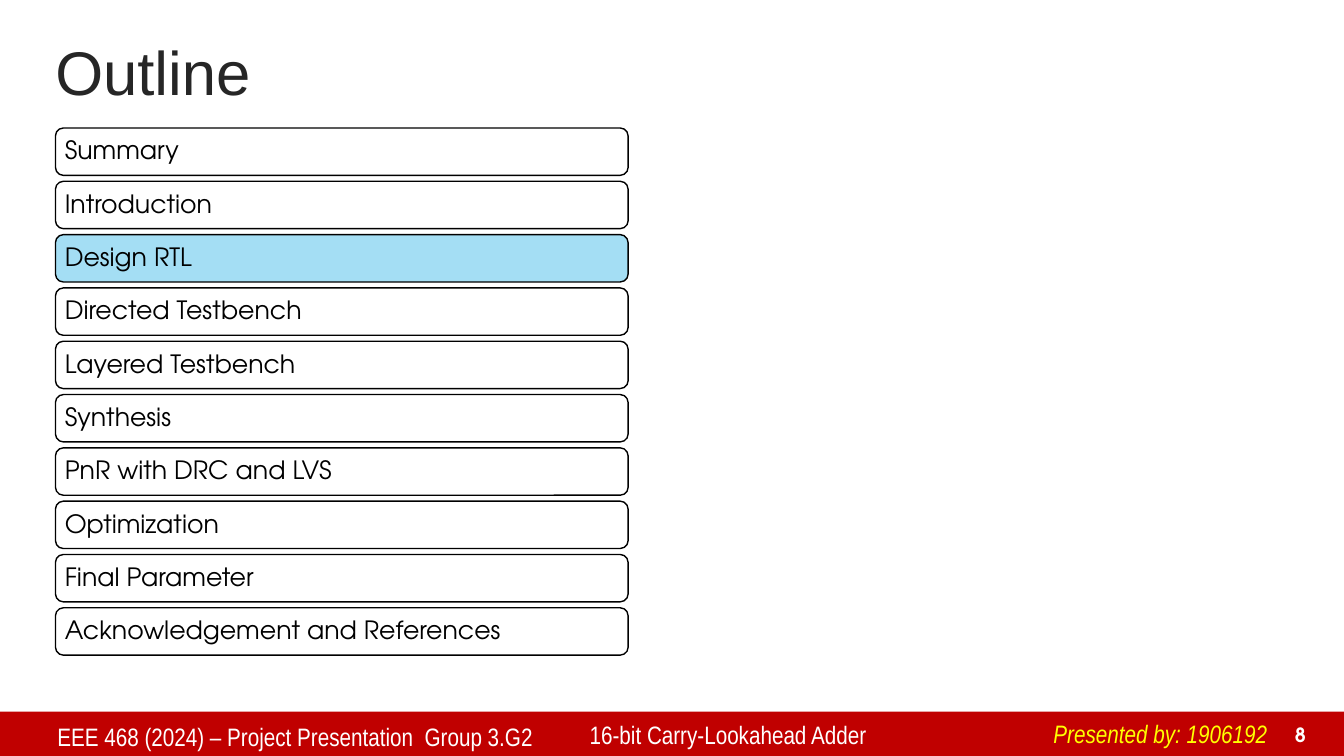
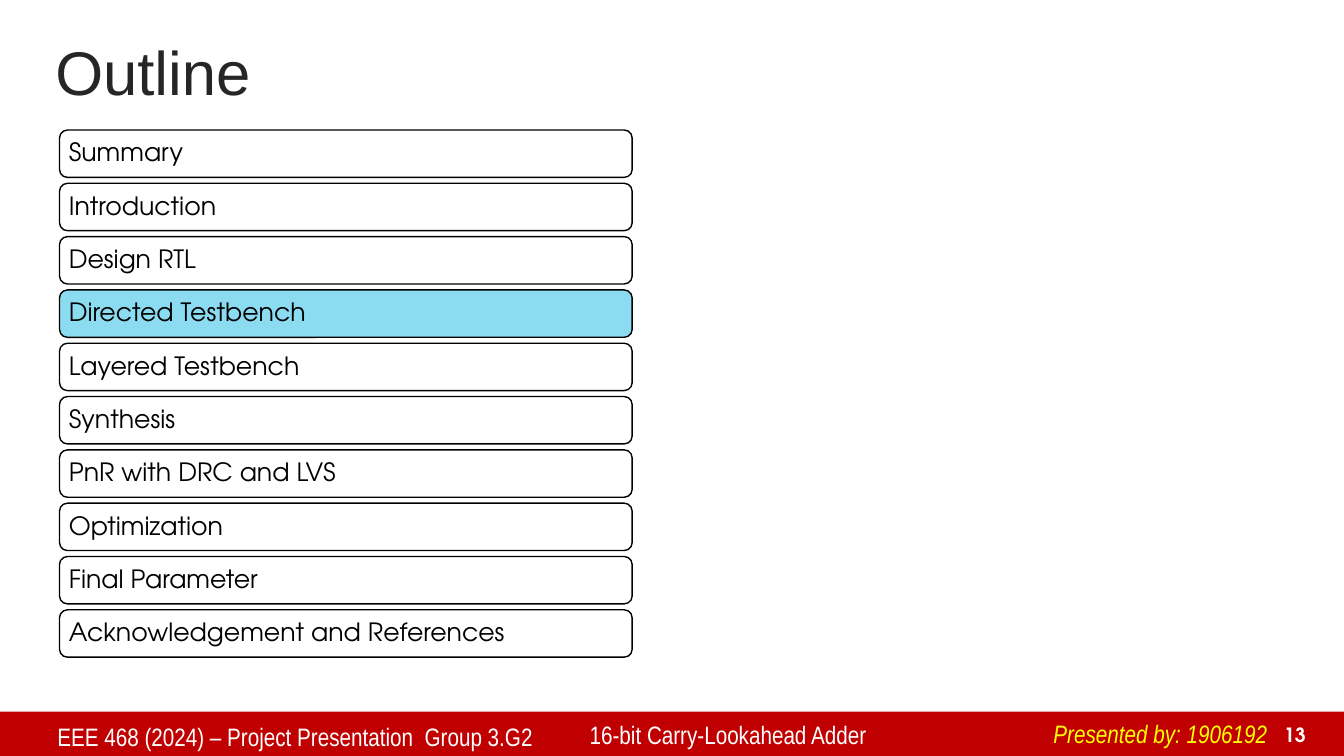
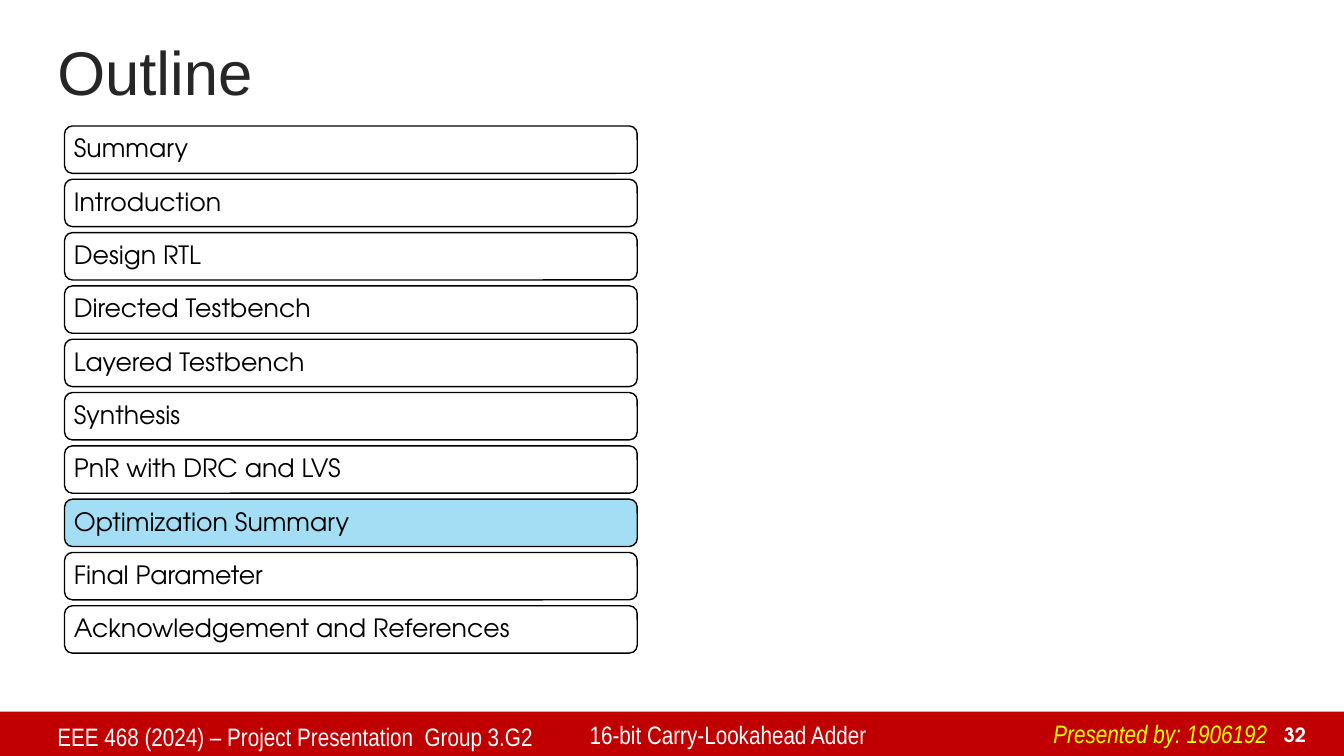
import dataclasses

import pptx
import pptx.dml.color
import pptx.enum.shapes
import pptx.enum.text
import pptx.util

Inches = pptx.util.Inches
Pt = pptx.util.Pt
ALIGN = pptx.enum.text.PP_ALIGN
ANCHOR = pptx.enum.text.MSO_ANCHOR
SHAPE = pptx.enum.shapes.MSO_SHAPE


@dataclasses.dataclass(frozen=True)
class Theme:
    band: str = "C00000"
    title: str = "262626"
    ink: str = "000000"
    paper: str = "FFFFFF"
    presenter: str = "FFFF00"
    sky: str = "A4DEF4"
    aqua: str = "8BDBF1"
    title_font: str = "Arial"
    footer_font: str = "Arial Narrow"
    body_font: str = "TeX Gyre Adventor"
    title_size: int = 44
    body_size: int = 18
    number_size: int = 14


@dataclasses.dataclass(frozen=True)
class Outline:
    number: str
    topics: list
    active: int
    highlight: str
    left: float
    top: float
    title_left: float = 0.45


THEME = Theme()
SLIDE_WIDTH, SLIDE_HEIGHT = 13.33, 7.5
BAND_TOP = 7.06
BAR_WIDTH, BAR_HEIGHT = 5.68, 0.47
LIST_HEIGHT = 5.23

BEFORE = ["Summary", "Introduction", "Design RTL", "Directed Testbench",
          "Layered Testbench", "Synthesis", "PnR with DRC and LVS"]
AFTER = ["Final Parameter", "Acknowledgement and References"]
TOPICS = BEFORE + ["Optimization"] + AFTER
SUMMARY_TOPICS = BEFORE + ["Optimization Summary"] + AFTER

OUTLINES = [
    Outline("8", TOPICS, 2, THEME.sky, 0.55, 1.27),
    Outline("13", TOPICS, 3, THEME.aqua, 0.59, 1.29),
    Outline("32", SUMMARY_TOPICS, 7, THEME.sky, 0.64, 1.25, 0.47),
]


def rgb(value):
    return pptx.dml.color.RGBColor.from_string(value)


def write(shape, text, font, size, color, align=ALIGN.LEFT, anchor=ANCHOR.TOP,
          bold=False, italic=False, spacing=1.0):
    tf = shape.text_frame
    tf.word_wrap = True
    tf.vertical_anchor = anchor
    p = tf.paragraphs[0]
    p.text = text
    p.alignment = align
    p.line_spacing = spacing
    r = p.runs[0]
    r.font.name = font
    r.font.size = Pt(size)
    r.font.color.rgb = rgb(color)
    r.font.bold = bold
    r.font.italic = italic
    return tf


def add_text(s, box, text, font, size, color, **style):
    shape = s.shapes.add_textbox(*map(Inches, box))
    return write(shape, text, font, size, color, **style)


def add_panel(s, kind, box, fill, line=None):
    shape = s.shapes.add_shape(kind, *map(Inches, box))
    shape.shadow.inherit = False
    shape.fill.solid()
    shape.fill.fore_color.rgb = rgb(fill)
    if line:
        shape.line.color.rgb = rgb(line)
        shape.line.width = Pt(1)
    else:
        shape.line.fill.background()
    return shape


def add_title(s, text, left):
    add_text(s, (left, 0.35, 11, 0.8), text, THEME.title_font, THEME.title_size,
             THEME.title, anchor=ANCHOR.MIDDLE, spacing=0.9)


def add_footer(s, number):
    add_panel(s, SHAPE.RECTANGLE,
              (0, BAND_TOP, SLIDE_WIDTH, SLIDE_HEIGHT - BAND_TOP), THEME.band)
    add_text(s, (12.48, 7.11, 0.57, 0.34), number, THEME.body_font,
             THEME.number_size, THEME.paper, align=ALIGN.RIGHT,
             anchor=ANCHOR.BOTTOM, bold=True)
    footer = (THEME.footer_font, THEME.body_size)
    add_text(s, (0.47, 7.11, 5.28, 0.41),
             "EEE 468 (2024) – Project Presentation  Group 3.G2",
             *footer, THEME.paper)
    add_text(s, (5.75, 7.09, 4.24, 0.41), "16-bit Carry-Lookahead Adder",
             *footer, THEME.paper)
    tf = add_text(s, (10.35, 7.08, 2.35, 0.4), "Presented by: 1906192",
                  *footer, THEME.presenter, italic=True)
    tf.word_wrap = False
    tf.auto_size = pptx.enum.text.MSO_AUTO_SIZE.SHAPE_TO_FIT_TEXT


def add_topic_bar(s, left, top, text, fill):
    bar = add_panel(s, SHAPE.ROUNDED_RECTANGLE,
                    (left, top, BAR_WIDTH, BAR_HEIGHT), fill, THEME.ink)
    tf = write(bar, text, THEME.body_font, THEME.body_size, THEME.ink,
               anchor=ANCHOR.MIDDLE, spacing=0.9)
    tf.margin_left = tf.margin_right = Inches(0.07)
    tf.margin_top = tf.margin_bottom = Inches(0.07)


def add_topic_list(s, outline):
    pitch = (LIST_HEIGHT - BAR_HEIGHT) / (len(outline.topics) - 1)
    for i, topic in enumerate(outline.topics):
        fill = outline.highlight if i == outline.active else THEME.paper
        add_topic_bar(s, outline.left, outline.top + i * pitch, topic, fill)


def main():
    prs = pptx.Presentation()
    prs.slide_width = Inches(SLIDE_WIDTH)
    prs.slide_height = Inches(SLIDE_HEIGHT)
    for outline in OUTLINES:
        s = prs.slides.add_slide(prs.slide_layouts[6])
        add_footer(s, outline.number)
        add_title(s, "Outline", outline.title_left)
        add_topic_list(s, outline)
    prs.save("out.pptx")


if __name__ == "__main__":
    main()
